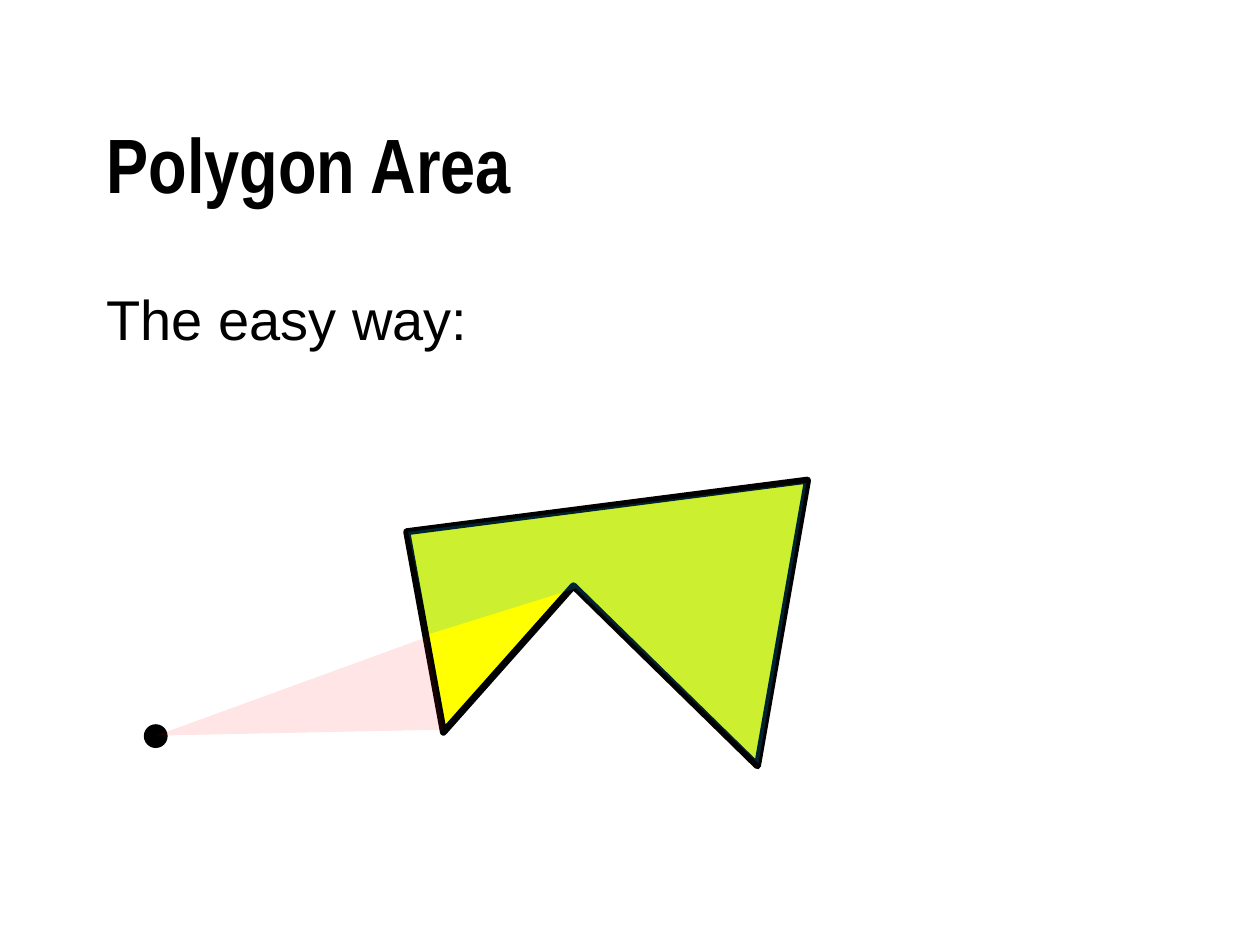
from lxml.etree import SubElement
from pptx import Presentation
from pptx.dml.color import RGBColor
from pptx.enum.shapes import MSO_SHAPE as Preset
from pptx.enum.text import MSO_ANCHOR as Anchor
from pptx.oxml.ns import qn
from pptx.util import Cm, Pt

# Corner points in cm
POLYGON = [(8.94, 14.76), (11.56, 11.81), (15.27, 15.44), (16.28, 9.68), (8.2, 10.72)]
POSITIVE_AREA = [(8.66, 12.78), (11.61, 11.86), (15.29, 15.39), (16.26, 9.73), (8.23, 10.72)]
NEGATIVE_AREA = [(3.15, 14.83), (8.59, 12.85), (8.94, 14.71)]


def color(hex_string):
    return RGBColor.from_string(hex_string)


def add_text(slide, text, top, height, font_name, size, bold=False, anchor=Anchor.TOP):
    box = slide.shapes.add_textbox(Cm(1.9), Cm(top), Cm(21.59), Cm(height))
    frame = box.text_frame
    frame.word_wrap = True
    frame.vertical_anchor = anchor
    paragraph = frame.paragraphs[0]
    paragraph.text = text
    font = paragraph.font
    font.name, font.size, font.bold = font_name, Pt(size), bold
    font.color.rgb = color("000000")


def paint(shape, fill, opacity=100):
    shape.shadow.inherit = False
    shape.fill.solid()
    shape.fill.fore_color.rgb = color(fill)
    shape.line.fill.background()
    if opacity < 100:
        rgb = shape.fill._xPr.find(".//" + qn("a:srgbClr"))
        SubElement(rgb, qn("a:alpha"), val=str(opacity * 1000))


def add_polygon(slide, points, fill, opacity=100):
    start, *others = [(Cm(x), Cm(y)) for x, y in points]
    builder = slide.shapes.build_freeform(*start)
    builder.add_line_segments(others, close=True)
    shape = builder.convert_to_shape()
    paint(shape, fill, opacity)
    return shape


def outline(shape, line_color, width):
    shape.line.color.rgb = color(line_color)
    shape.line.width = Pt(width)
    SubElement(shape.line._get_or_add_ln(), qn("a:round"))


def add_dot(slide, left, top, diameter, fill):
    dot = slide.shapes.add_shape(Preset.OVAL, Cm(left), Cm(top), Cm(diameter), Cm(diameter))
    paint(dot, fill)


def main():
    presentation = Presentation()
    presentation.slide_width, presentation.slide_height = Cm(25.4), Cm(19.05)
    slide = presentation.slides.add_slide(presentation.slide_layouts[6])

    # Title and body
    add_text(slide, "Polygon Area", 1.7, 3.18, "Arial Narrow", 44, True, Anchor.MIDDLE)
    add_text(slide, "The easy way:", 5.62, 11.43, "Arial", 32)

    # Polygon and reference point
    outline(add_polygon(slide, POLYGON, "FFFF00"), "000000", 4)
    add_dot(slide, 2.9, 14.6, 0.48, "000000")

    # Signed areas seen from the point
    add_polygon(slide, POSITIVE_AREA, "00B0F0", 20)
    add_polygon(slide, NEGATIVE_AREA, "FF0000", 10)

    presentation.save("out.pptx")


if __name__ == "__main__":
    main()
